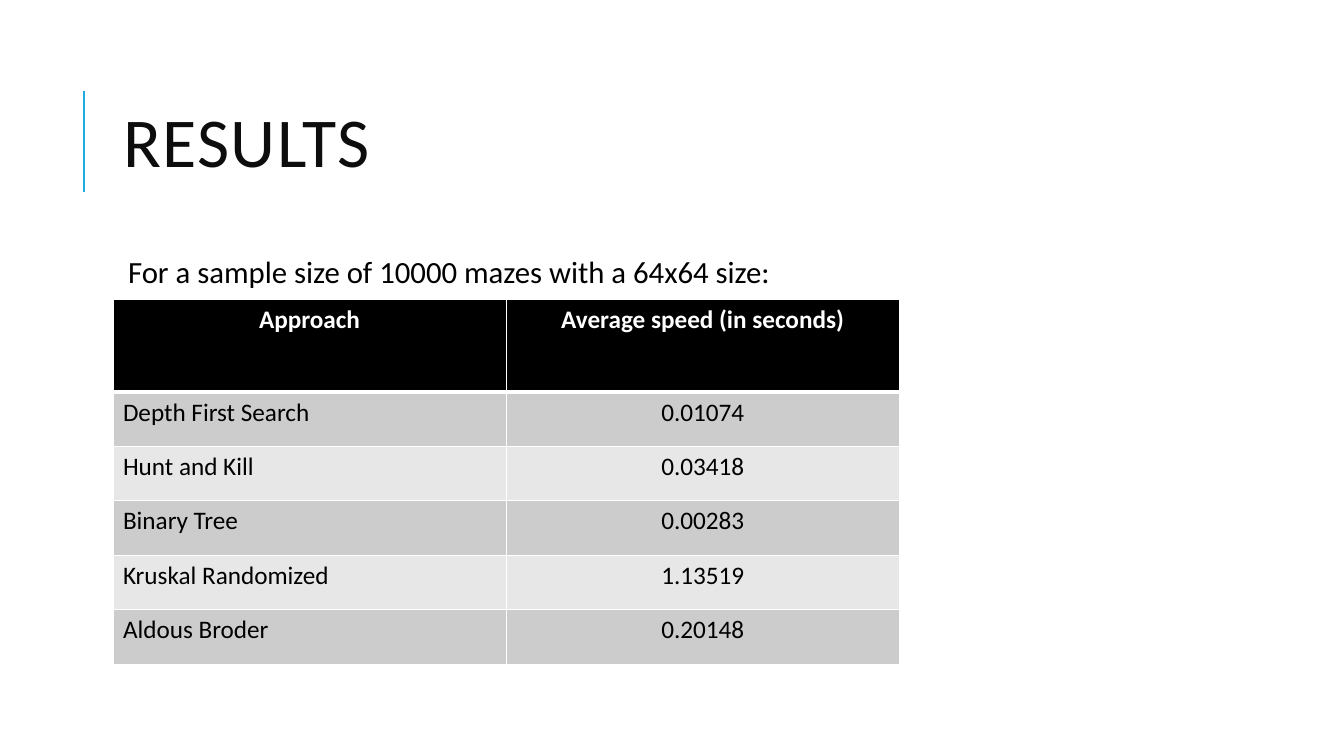
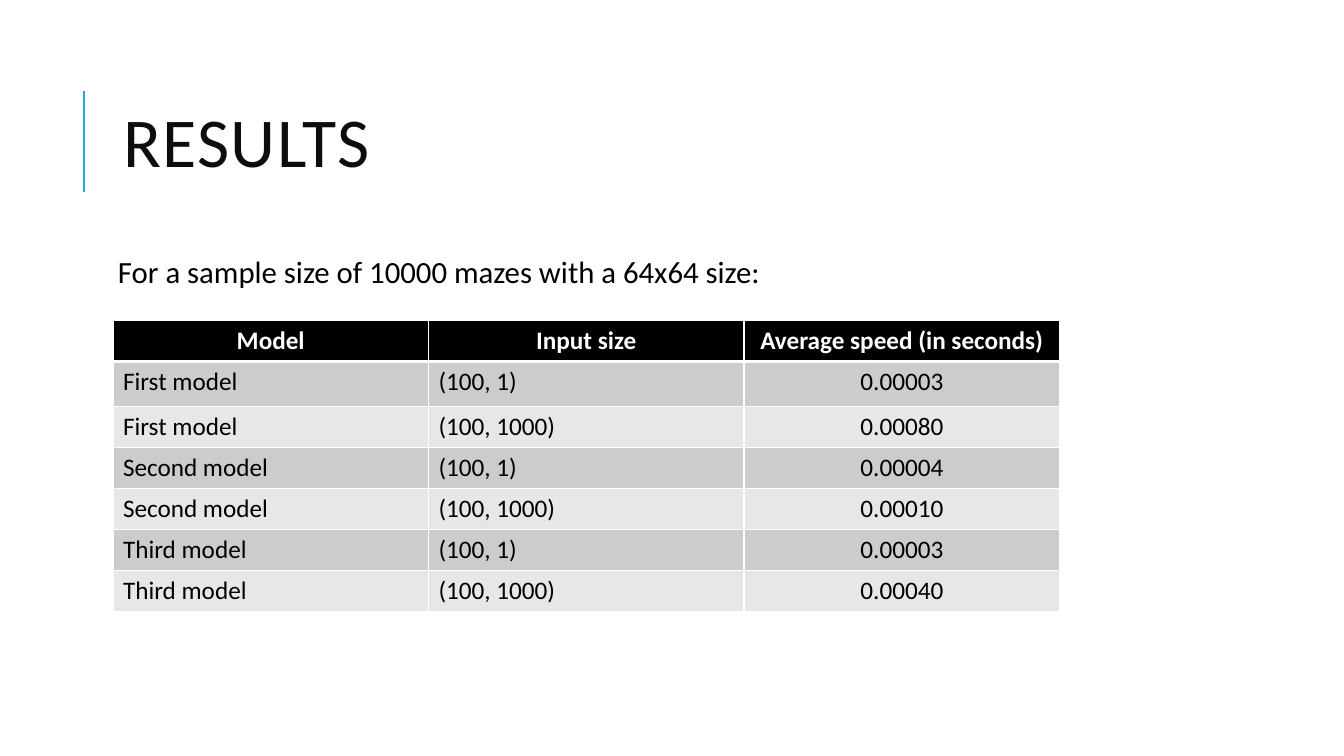
from dataclasses import dataclass

from lxml import etree
from pptx import Presentation
from pptx.dml.color import RGBColor
from pptx.enum.shapes import MSO_CONNECTOR
from pptx.enum.text import MSO_ANCHOR, MSO_AUTO_SIZE, PP_ALIGN
from pptx.oxml.ns import qn
from pptx.util import Inches, Pt

STRAIGHT = MSO_CONNECTOR.STRAIGHT
MIDDLE, TOP = MSO_ANCHOR.MIDDLE, MSO_ANCHOR.TOP
NO_AUTOFIT = MSO_AUTO_SIZE.NONE
LEFT, CENTER = PP_ALIGN.LEFT, PP_ALIGN.CENTER

FONT = "Calibri"
COLORS = {
    "accent": "1CADE4",
    "title": "0D0D0D",
    "text": "000000",
    "header": "000000",
    "header_text": "FFFFFF",
    "border": "FFFFFF",
    "odd_row": "CCCCCC",
    "even_row": "E7E7E7",
}
TITLE = "RESULTS"
INTRODUCTION = "For a sample size of 10000 mazes with a 64x64 size:"
CONTENT_LEFT, CONTENT_WIDTH = 1.12, 10.63
BODY_INSET = 0.05
BORDER_WIDTH, HEADER_BORDER_WIDTH = 1, 3


@dataclass
class ResultSlide:
    """One results slide: an introduction line above a table."""
    table_top: float
    column_width: float
    row_heights: list[float]
    rows: list[tuple[str, ...]]
    hanging_indent: float = 0


RESULT_SLIDES = [
    ResultSlide(
        table_top=2.97,
        column_width=3.9,
        row_heights=[0.92] + [0.54] * 5,
        rows=[
            ("Approach", "Average speed (in seconds)"),
            ("Depth First Search", "0.01074"),
            ("Hunt and Kill", "0.03418"),
            ("Binary Tree", "0.00283"),
            ("Kruskal Randomized", "1.13519"),
            ("Aldous Broder", "0.20148"),
        ],
        hanging_indent=0.1,
    ),
    ResultSlide(
        table_top=3.18,
        column_width=3.13,
        row_heights=[0.4, 0.45] + [0.4] * 5,
        rows=[
            ("Model", "Input size", "Average speed (in seconds)"),
            ("First model", "(100, 1)", "0.00003"),
            ("First model", "(100, 1000)", "0.00080"),
            ("Second model", "(100, 1)", "0.00004"),
            ("Second model", "(100, 1000)", "0.00010"),
            ("Third model", "(100, 1)", "0.00003"),
            ("Third model", "(100, 1000)", "0.00040"),
        ],
    ),
]


def rgb(name: str) -> RGBColor:
    """Look up a named colour."""
    return RGBColor.from_string(COLORS[name])


def style_paragraph(paragraph, size: float, color: str, bold: bool = False,
                    alignment=LEFT) -> None:
    """Format a paragraph and all its runs."""
    paragraph.alignment = alignment
    for run in paragraph.runs:
        run.font.name = FONT
        run.font.size = Pt(size)
        run.font.bold = bold
        run.font.color.rgb = rgb(color)


def place(shape, top: float, height: float, anchor) -> None:
    """Move a placeholder into the content column."""
    shape.left, shape.top = Inches(CONTENT_LEFT), Inches(top)
    shape.width, shape.height = Inches(CONTENT_WIDTH), Inches(height)
    shape.text_frame.vertical_anchor = anchor
    shape.text_frame.auto_size = NO_AUTOFIT
    shape.text_frame.word_wrap = True


def add_accent_line(slide) -> None:
    """Draw the vertical line beside the title."""
    line = slide.shapes.add_connector(
        STRAIGHT, Inches(0.83), Inches(1.9), Inches(0.83), Inches(0.9))
    line.line.color.rgb = rgb("accent")
    line.line.width = Pt(1.5)
    etree.SubElement(line._element.spPr, qn("a:effectLst"))


def fill_title(slide) -> None:
    """Write the title in the shared style."""
    title = slide.shapes.title
    place(title, 0.64, 1.64, MIDDLE)
    title.text_frame.text = TITLE
    paragraph = title.text_frame.paragraphs[0]
    paragraph.line_spacing = 0.8
    style_paragraph(paragraph, 50, "title")
    for run in paragraph.runs:
        run.font._element.set("spc", "100")


def set_bullet(paragraph, hanging_indent: float) -> None:
    """Give a hanging blank bullet, or none when the indent is zero."""
    properties = paragraph._p.get_or_add_pPr()
    properties.set("marL", str(Inches(hanging_indent)))
    properties.set("indent", str(-Inches(hanging_indent)))
    if hanging_indent:
        bullet_color = etree.SubElement(properties, qn("a:buClr"))
        etree.SubElement(bullet_color, qn("a:srgbClr"), val=COLORS["accent"])
        etree.SubElement(properties, qn("a:buChar"), char=" ")
    else:
        etree.SubElement(properties, qn("a:buNone"))


def fill_body(slide, hanging_indent: float) -> None:
    """Write the introduction line in the body placeholder."""
    body = slide.placeholders[1]
    place(body, 2.5, 4.4, TOP)
    frame = body.text_frame
    frame.margin_left = frame.margin_right = Inches(BODY_INSET)
    frame.margin_top = frame.margin_bottom = Inches(BODY_INSET)
    frame.text = INTRODUCTION
    paragraph = frame.paragraphs[0]
    paragraph.line_spacing = 0.9
    paragraph.space_before, paragraph.space_after = Pt(12), Pt(2)
    style_paragraph(paragraph, 22, "text")
    set_bullet(paragraph, hanging_indent)


def set_borders(cell, top: float, bottom: float) -> None:
    """Draw the four borders of a cell, with widths in points."""
    properties = cell._tc.get_or_add_tcPr()
    widths = {"L": BORDER_WIDTH, "R": BORDER_WIDTH, "T": top, "B": bottom}
    for side, width in widths.items():
        border = etree.SubElement(properties, qn(f"a:ln{side}"), w=str(Pt(width)))
        fill = etree.SubElement(border, qn("a:solidFill"))
        etree.SubElement(fill, qn("a:srgbClr"), val=COLORS["border"])


def fill_cell(cell, text: str, row_index: int, centered: bool) -> None:
    """Write one cell; row zero is the header."""
    is_header = row_index == 0
    set_borders(
        cell,
        top=HEADER_BORDER_WIDTH if row_index == 1 else BORDER_WIDTH,
        bottom=HEADER_BORDER_WIDTH if is_header else BORDER_WIDTH,
    )
    band = "odd_row" if row_index % 2 else "even_row"
    cell.fill.solid()
    cell.fill.fore_color.rgb = rgb("header" if is_header else band)
    cell.text_frame.text = text
    style_paragraph(
        cell.text_frame.paragraphs[0], 18,
        "header_text" if is_header else "text", bold=is_header,
        alignment=CENTER if is_header or centered else LEFT)


def add_result_table(slide, result: ResultSlide) -> None:
    """Add the table, with its last column centred."""
    column_count = len(result.rows[0])
    table = slide.shapes.add_table(
        len(result.rows), column_count,
        Inches(CONTENT_LEFT), Inches(result.table_top),
        Inches(result.column_width * column_count),
        Inches(sum(result.row_heights))).table
    table.horz_banding = False
    for column in table.columns:
        column.width = Inches(result.column_width)
    for row_index, (height, texts) in enumerate(zip(result.row_heights, result.rows)):
        table.rows[row_index].height = Inches(height)
        for column_index, text in enumerate(texts):
            fill_cell(table.cell(row_index, column_index), text, row_index,
                      centered=column_index == column_count - 1)


def add_result_slide(presentation, result: ResultSlide) -> None:
    """Build one complete results slide."""
    slide = presentation.slides.add_slide(presentation.slide_layouts[1])
    add_accent_line(slide)
    fill_title(slide)
    fill_body(slide, result.hanging_indent)
    add_result_table(slide, result)


def main() -> None:
    """Build and save the presentation."""
    presentation = Presentation()
    presentation.slide_width = Inches(13.33)
    presentation.slide_height = Inches(7.5)
    for result in RESULT_SLIDES:
        add_result_slide(presentation, result)
    presentation.save("out.pptx")


main()
